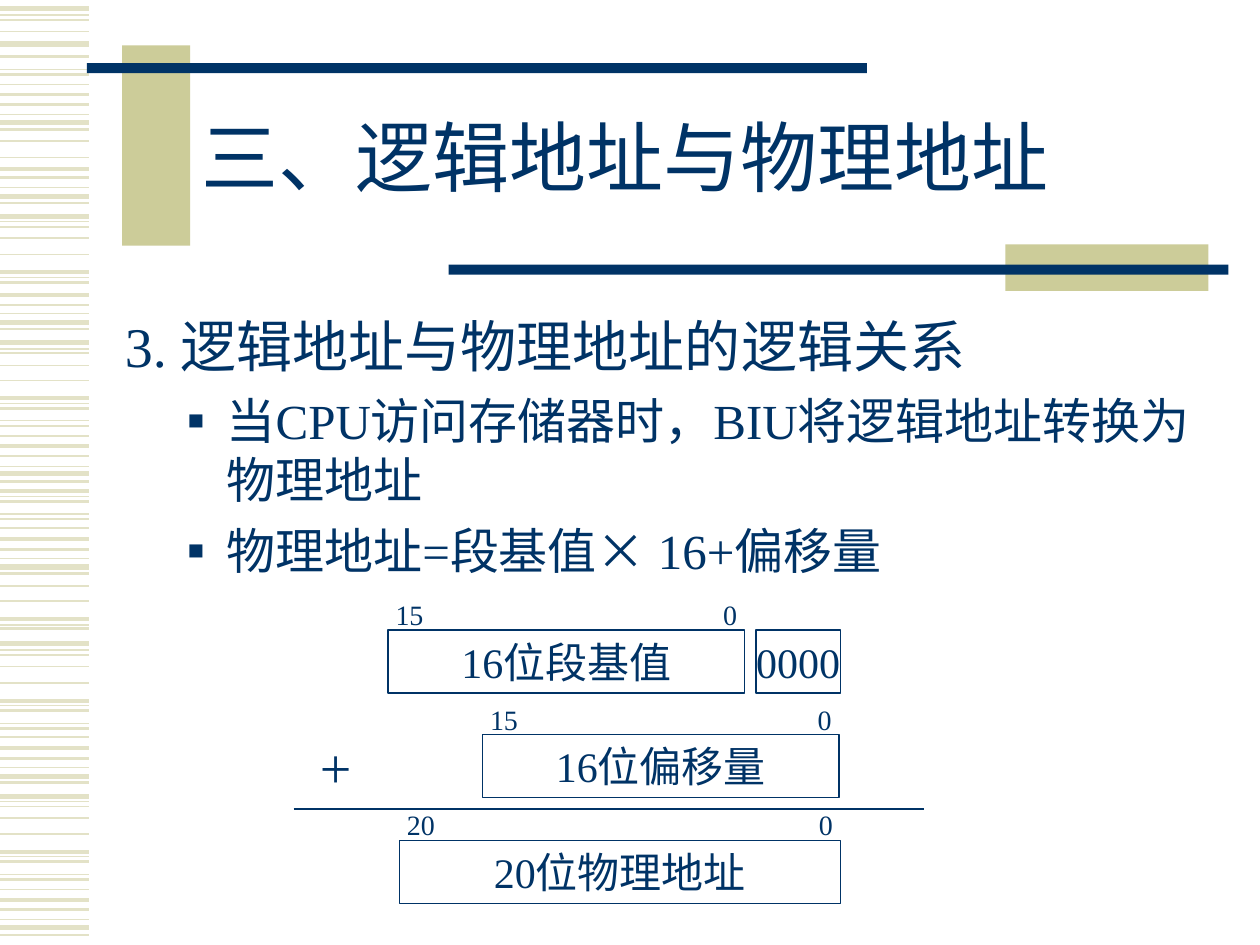
"""Build a slide on how logical addresses map to physical addresses."""
from lxml import etree
from pptx import Presentation
from pptx.dml.color import RGBColor
from pptx.enum.shapes import MSO_CONNECTOR, MSO_SHAPE
from pptx.enum.text import MSO_ANCHOR, MSO_AUTO_SIZE, PP_ALIGN
from pptx.oxml.ns import qn
from pptx.util import Inches, Pt

LINE, RECT = MSO_CONNECTOR.STRAIGHT, MSO_SHAPE.RECTANGLE
MID, TOP = MSO_ANCHOR.MIDDLE, MSO_ANCHOR.TOP
LEFT, CENTER = PP_ALIGN.LEFT, PP_ALIGN.CENTER
FIXED = MSO_AUTO_SIZE.NONE

HEX = {"navy": "003366", "khaki": "CCCC99", "pale": "E3E2C7"}
LATIN, HAN = "Times New Roman", "Noto Sans CJK SC"

STRIPES = {
    3: [0.07, 0.35, 0.97, 1.56, 1.72, 2.56, 2.72, 3.76, 4.5, 5.11, 6.16, 6.32, 7.36],
    2.25: [0.75, 1.34, 2.16, 2.34, 3.16, 3.54, 3.9, 4.28, 4.91, 5.56, 5.94, 6.76, 7.14],
    1.5: [0.45, 0.59, 0.83, 1.03, 1.41, 1.61, 2.24, 2.42, 2.61, 3.24, 3.38, 3.62, 3.82,
          3.98, 4.12, 4.36, 4.55, 4.99, 5.64, 5.78, 6.02, 6.21, 6.84, 6.98, 7.22, 7.42],
    1: [0.16, 0.25, 0.67, 1.12, 1.25, 1.8, 1.89, 2.02, 2.8, 2.9, 3.02, 3.46,
        4.19, 4.65, 4.77, 5.2, 5.29, 5.42, 5.85, 6.4, 6.49, 6.62, 7.06],
    0.75: [0.12, 0.55, 0.91, 1.49, 1.76, 2.2, 2.49, 2.77, 3.2, 3.34, 3.7, 3.94,
           4.08, 4.43, 4.96, 5.16, 5.6, 5.74, 6.09, 6.36, 6.8, 6.94, 7.3],
}
BARS = [
    ("khaki", 0.97, 0.36, 0.54, 1.59),
    ("navy", 0.69, 0.5, 6.19, 0.08),
    ("khaki", 7.98, 1.94, 1.61, 0.37),
    ("navy", 3.56, 2.1, 6.19, 0.08),
]
TITLE = "三、逻辑地址与物理地址"
BODY = [
    (0, [("3. 逻辑地址与物理地址的逻辑关系", LATIN)]),
    (1, [("当CPU访问存储器时，BIU将逻辑地址转换为物理地址", LATIN)]),
    (1, [("物理地址=段基值", LATIN), ("×", HAN), (" 16+偏移量", LATIN)]),
]
LEVELS = [
    {"size": 32, "gap": 8, "left": 0.38, "hang": -0.38},
    {"size": 28, "gap": 7, "left": 0.81, "hang": -0.31},
]
BOXES = [
    ("16位段基值", 3.08, 5, 2.83, "15"),
    ("0000", 6, 5, 0.67, None),
    ("16位偏移量", 3.83, 5.83, 2.83, "15"),
    ("20位物理地址", 3.17, 6.67, 3.5, "20"),
]
HIGH, BAND, EDGE = 0.5, 0.25, 0.06


def tint(name):
    return RGBColor.from_string(HEX[name])


def node(parent, tag, **attrs):
    item = etree.SubElement(parent, qn(tag))
    for key, value in attrs.items():
        item.set(key, value)
    return item


def place(shape, *spot):
    for key, value in zip(("left", "top", "width", "height"), spot):
        setattr(shape, key, Inches(value))


def frame(shape, anchor=MID, wrap=True, side=0.1):
    text = shape.text_frame
    form = {"auto_size": FIXED, "word_wrap": wrap, "vertical_anchor": anchor,
            "margin_left": Inches(side), "margin_right": Inches(side),
            "margin_top": Inches(0.05), "margin_bottom": Inches(0.05)}
    for key, value in form.items():
        setattr(text, key, value)
    return text


def write(para, words, size, font=LATIN):
    run = para.add_run()
    run.text = words
    for key, value in {"name": font, "size": Pt(size)}.items():
        setattr(run.font, key, value)
    run.font.color.rgb = tint("navy")
    node(run.font._element, "a:ea", typeface=HAN)


def rule(shapes, x, y, end, color, weight):
    line = shapes.add_connector(LINE, Inches(x), Inches(y), Inches(end), Inches(y))
    line.line.color.rgb = tint(color)
    line.line.width = Pt(weight)
    node(line.element.spPr, "a:effectLst")


def block(shapes, *spot):
    shape = shapes.add_shape(RECT, *map(Inches, spot))
    shape.shadow.inherit = False
    return shape


def decor(shapes):
    for weight, rows in STRIPES.items():
        for y in rows:
            rule(shapes, 0, y, 0.71, "pale", weight)
    for color, *spot in BARS:
        bar = block(shapes, *spot)
        bar.fill.solid()
        bar.fill.fore_color.rgb = tint(color)
        bar.line.fill.background()


def prose(shapes):
    title, body = shapes.title, shapes.placeholders[1]
    place(title, 1.5, 0.67, 8.07, 1.25)
    place(body, 0.89, 2.42, 8.7, 2.41)
    para = frame(title).paragraphs[0]
    para.alignment, para.line_spacing = LEFT, 0.85
    write(para, TITLE, 44)
    text = frame(body, TOP)
    for i, (level, runs) in enumerate(BODY):
        para = text.add_paragraph() if i else text.paragraphs[0]
        form = LEVELS[level]
        para.level, para.space_before = level, Pt(form["gap"])
        props = para._p.get_or_add_pPr()
        props.set("marL", str(Inches(form["left"])))
        props.set("indent", str(Inches(form["hang"])))
        if level:
            node(node(props, "a:buClr"), "a:srgbClr", val=HEX["navy"])
            node(props, "a:buSzPct", val="55000")
            node(props, "a:buChar", char="■")
        else:
            node(props, "a:buNone")
        for words, font in runs:
            write(para, words, form["size"], font)


def label(shapes, words, size, *spot, **form):
    para = frame(shapes.add_textbox(*map(Inches, spot)), **form).paragraphs[0]
    write(para, words, size)
    return para


def sums(shapes):
    for words, x, y, wide, bit in BOXES:
        box = block(shapes, x, y, wide, HIGH)
        box.fill.background()
        box.line.color.rgb = tint("navy")
        box.line.width = Pt(0.75)
        para = frame(box, wrap=False).paragraphs[0]
        para.alignment = CENTER
        write(para, words, 24)
        if bit:
            para = label(shapes, bit + "\t0", 16, x, y - BAND, wide, BAND, side=EDGE)
            tabs = node(para._p.get_or_add_pPr(), "a:tabLst")
            node(tabs, "a:tab", pos=str(Inches(wide - 2 * EDGE)), algn="r")
    label(shapes, "+", 32, 2.33, 5.83, 0.67, HIGH).alignment = CENTER
    rule(shapes, 2.33, 6.42, 7.33, "navy", 0.75)


def main():
    deck = Presentation()
    deck.slide_width, deck.slide_height = Inches(10), Inches(7.5)
    shapes = deck.slides.add_slide(deck.slide_layouts[1]).shapes
    decor(shapes)
    prose(shapes)
    sums(shapes)
    deck.save("out.pptx")


if __name__ == "__main__":
    main()
